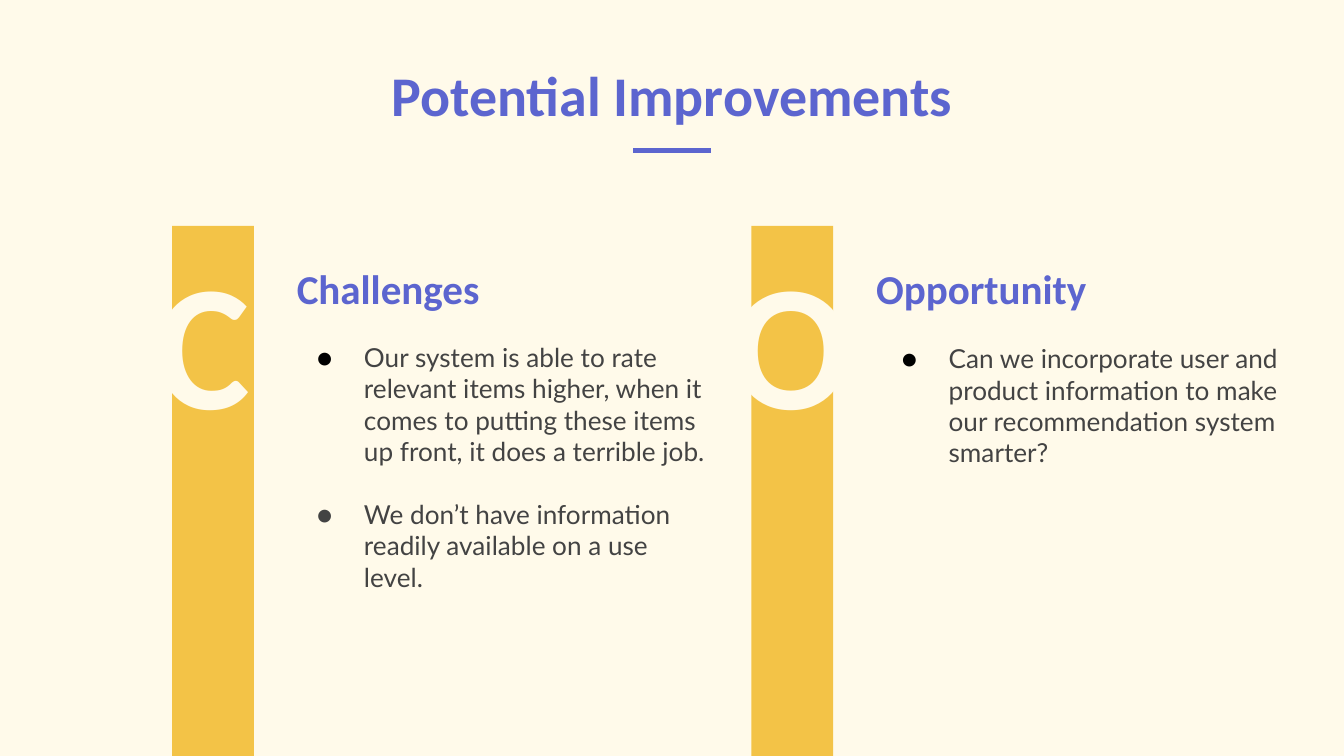
"""Build the Potential Improvements slide with its challenge and opportunity columns."""
import pptx
import pptx.dml.color
import pptx.enum.shapes
import pptx.enum.text
import pptx.oxml
import pptx.oxml.ns
import pptx.util
from pptx.util import Inches

COLORS = {
    "cream": "FFFAEA",
    "indigo": "5C65CF",
    "yellow": "F3C347",
    "gray": "434343",
    "black": "000000",
}
ANCHOR = pptx.enum.text.MSO_ANCHOR
ALIGN = pptx.enum.text.PP_ALIGN


def rgb(name):
    return pptx.dml.color.RGBColor.from_string(COLORS[name])


def write(shape, box, *texts, size, color, font="Calibri", bold=False,
          anchor=ANCHOR.TOP, align=ALIGN.LEFT, bullets=(), gap=0):
    shape.left, shape.top, shape.width, shape.height = map(Inches, box)
    frame = shape.text_frame
    frame.auto_size = pptx.enum.text.MSO_AUTO_SIZE.NONE
    frame.word_wrap = True
    frame.vertical_anchor = anchor
    frame.margin_left = frame.margin_right = Inches(0.1)
    frame.margin_top = frame.margin_bottom = Inches(0.1)
    for index, text in enumerate(texts):
        paragraph = frame.add_paragraph() if index else frame.paragraphs[0]
        paragraph.alignment = align
        if index:
            paragraph.space_before = pptx.util.Pt(gap)
        if bullets:
            properties = paragraph._p.get_or_add_pPr()
            properties.set("marL", str(Inches(0.5)))
            properties.set("indent", str(Inches(-0.35)))
            namespace = pptx.oxml.ns.nsdecls("a")
            for xml in (
                f'<a:buClr {namespace}><a:srgbClr val="{COLORS[bullets[index]]}"/></a:buClr>',
                f'<a:buFont {namespace} typeface="{font}"/>',
                f'<a:buChar {namespace} char="●"/>',
            ):
                properties.append(pptx.oxml.parse_xml(xml))
        run = paragraph.add_run()
        run.text = text
        run.font.name = font
        run.font.size = pptx.util.Pt(size)
        run.font.bold = bold
        run.font.color.rgb = rgb(color)


presentation = pptx.Presentation()
presentation.slide_width = Inches(10)
presentation.slide_height = Inches(10) * 9 // 16
slide = presentation.slides.add_slide(presentation.slide_layouts[5])
slide.background.fill.solid()
slide.background.fill.fore_color.rgb = rgb("cream")
shapes = slide.shapes

write(shapes.title, (0.87, 0.22, 8.26, 0.83), "Potential Improvements", size=30,
      color="indigo", bold=True, anchor=ANCHOR.BOTTOM, align=ALIGN.CENTER)

underline = shapes.add_connector(pptx.enum.shapes.MSO_CONNECTOR.STRAIGHT,
                                 Inches(4.71), Inches(1.12), Inches(5.29), Inches(1.12))
underline.line.color.rgb = rgb("indigo")
underline.line.width = pptx.util.Pt(3)
underline._element.spPr.append(
    pptx.oxml.parse_xml(f'<a:effectLst {pptx.oxml.ns.nsdecls("a")}/>'))

columns = [
    {
        "heading": "Challenges", "bar": 1.28, "letter": 1.06, "body": (2.11, 2.44),
        "texts": [
            "Our system is able to rate relevant items higher, when it comes to putting "
            "these items up front, it does a terrible job.",
            "We don’t have information readily available on a use level.",
        ],
        "bullets": ["black", "gray"],
    },
    {
        "heading": "Opportunity", "bar": 5.59, "letter": 5.34, "body": (6.46, 2.45),
        "texts": [
            "Can we incorporate user and product information to make our "
            "recommendation system smarter?",
        ],
        "bullets": ["black"],
    },
]

for column in columns:
    bar = shapes.add_shape(pptx.enum.shapes.MSO_SHAPE.RECTANGLE, Inches(column["bar"]),
                           Inches(1.68), Inches(0.61), Inches(4.05))
    bar.shadow.inherit = False
    bar.fill.solid()
    bar.fill.fore_color.rgb = rgb("yellow")
    bar.line.fill.background()

    letter = shapes.add_textbox(0, 0, 0, 0)
    write(letter, (column["letter"], 1.68, 0.86, 1.67), column["heading"][0], size=96,
          color="cream", bold=True, anchor=ANCHOR.MIDDLE, align=ALIGN.RIGHT)
    heading = shapes.add_textbox(0, 0, 0, 0)
    write(heading, (column["bar"] + 0.83, 1.61, 2.65, 0.82), column["heading"], size=22,
          color="indigo", bold=True, anchor=ANCHOR.BOTTOM)
    body = shapes.add_textbox(0, 0, 0, 0)
    write(body, (*column["body"], 3.28, 3.28), *column["texts"], size=14, color="gray",
          font="Lato", bullets=column["bullets"], gap=16.8)

presentation.save("out.pptx")
